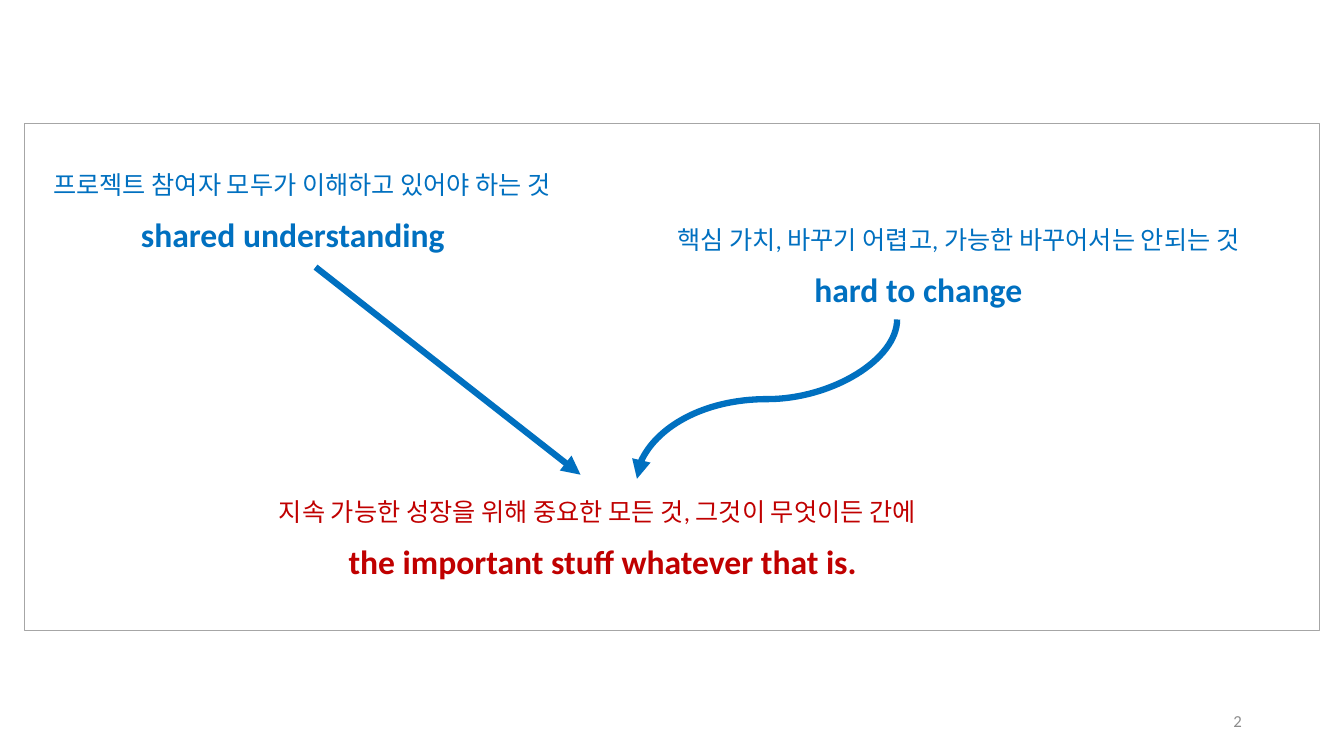
from lxml.etree import SubElement
from pptx import Presentation
from pptx.dml.color import RGBColor
from pptx.enum.shapes import MSO_CONNECTOR, MSO_SHAPE
from pptx.enum.text import MSO_ANCHOR, MSO_AUTO_SIZE, PP_ALIGN
from pptx.oxml.ns import qn
from pptx.util import Pt

COLOURS = {"blue": "0070C0", "red": "C00000", "grey": "8C8C8C", "frame": "A6A6A6"}
FONT = "Calibri"
NOTE_SIZE, PHRASE_SIZE = 18, 24
NOTE_HEIGHT, PHRASE_HEIGHT = 29, 36
PHRASE_DROP = 32

IDEAS = [
    {"colour": "blue", "top": 117.3,
     "note": ("프로젝트 참여자 모두가 이해하고 있어야 하는 것", 31, 403),
     "phrase": ("shared understanding", 93.6, 234)},
    {"colour": "blue", "top": 156.7,
     "note": ("핵심 가치, 바꾸기 어렵고, 가능한 바꾸어서는 안되는 것", 476.6, 453),
     "phrase": ("hard to change", 574.6, 164)},
    {"colour": "red", "top": 351.2,
     "note": ("지속 가능한 성장을 위해 중요한 모든 것, 그것이 무엇이든 간에", 192.2, 511),
     "phrase": ("the important stuff whatever that is.", 241.9, 382)},
]
ARROWS = [
    (MSO_CONNECTOR.STRAIGHT, (225.4, 190.8), (414.7, 339.1), 0),
    (MSO_CONNECTOR.CURVE, (491, 192.2), (604.8, 378), 90),
]
FRAME = (17.3, 87.8, 925.2, 362.2)
PAGE_NUMBER = ("2", 678.2, 500.4, 216, 28.8)


def colour_of(name):
    return RGBColor.from_string(COLOURS[name])


def add_text(page, text, left, top, width, height, size, colour, bold=False):
    box = page.shapes.add_textbox(Pt(left), Pt(top), Pt(width), Pt(height))
    frame = box.text_frame
    frame.text = text
    frame.word_wrap = False
    frame.auto_size = MSO_AUTO_SIZE.SHAPE_TO_FIT_TEXT
    font = frame.paragraphs[0].runs[0].font
    font.name, font.size, font.bold = FONT, Pt(size), bold
    font.color.rgb = colour_of(colour)
    return frame


def add_idea(page, idea):
    text, left, width = idea["note"]
    add_text(page, text, left, idea["top"], width, NOTE_HEIGHT, NOTE_SIZE, idea["colour"])
    text, left, width = idea["phrase"]
    add_text(page, text, left, idea["top"] + PHRASE_DROP, width, PHRASE_HEIGHT,
             PHRASE_SIZE, idea["colour"], bold=True)


def add_arrow(page, kind, start, end, turn):
    arrow = page.shapes.add_connector(kind, *map(Pt, start + end))
    arrow.line.color.rgb = colour_of("blue")
    arrow.line.width = Pt(4.5)
    SubElement(arrow.line._get_or_add_ln(), qn("a:tailEnd"), type="triangle")
    properties = arrow._element.spPr
    SubElement(properties, qn("a:effectLst"))
    if turn:
        properties.find(qn("a:xfrm")).set("rot", str(turn * 60000))


def add_page_number(page):
    text, left, top, width, height = PAGE_NUMBER
    frame = add_text(page, text, left, top, width, height, 12, "grey")
    frame.word_wrap = True
    frame.auto_size = MSO_AUTO_SIZE.NONE
    frame.vertical_anchor = MSO_ANCHOR.MIDDLE
    frame.paragraphs[0].alignment = PP_ALIGN.RIGHT


def add_frame(page):
    border = page.shapes.add_shape(MSO_SHAPE.RECTANGLE, *map(Pt, FRAME))
    border.shadow.inherit = False
    border.fill.background()
    border.line.color.rgb = colour_of("frame")
    border.line.width = Pt(0.5)


def main():
    deck = Presentation()
    deck.slide_width, deck.slide_height = Pt(960), Pt(540)
    page = deck.slides.add_slide(deck.slide_layouts[6])
    add_page_number(page)
    for idea in IDEAS:
        add_idea(page, idea)
    for arrow in ARROWS:
        add_arrow(page, *arrow)
    add_frame(page)
    deck.save("out.pptx")


if __name__ == "__main__":
    main()
